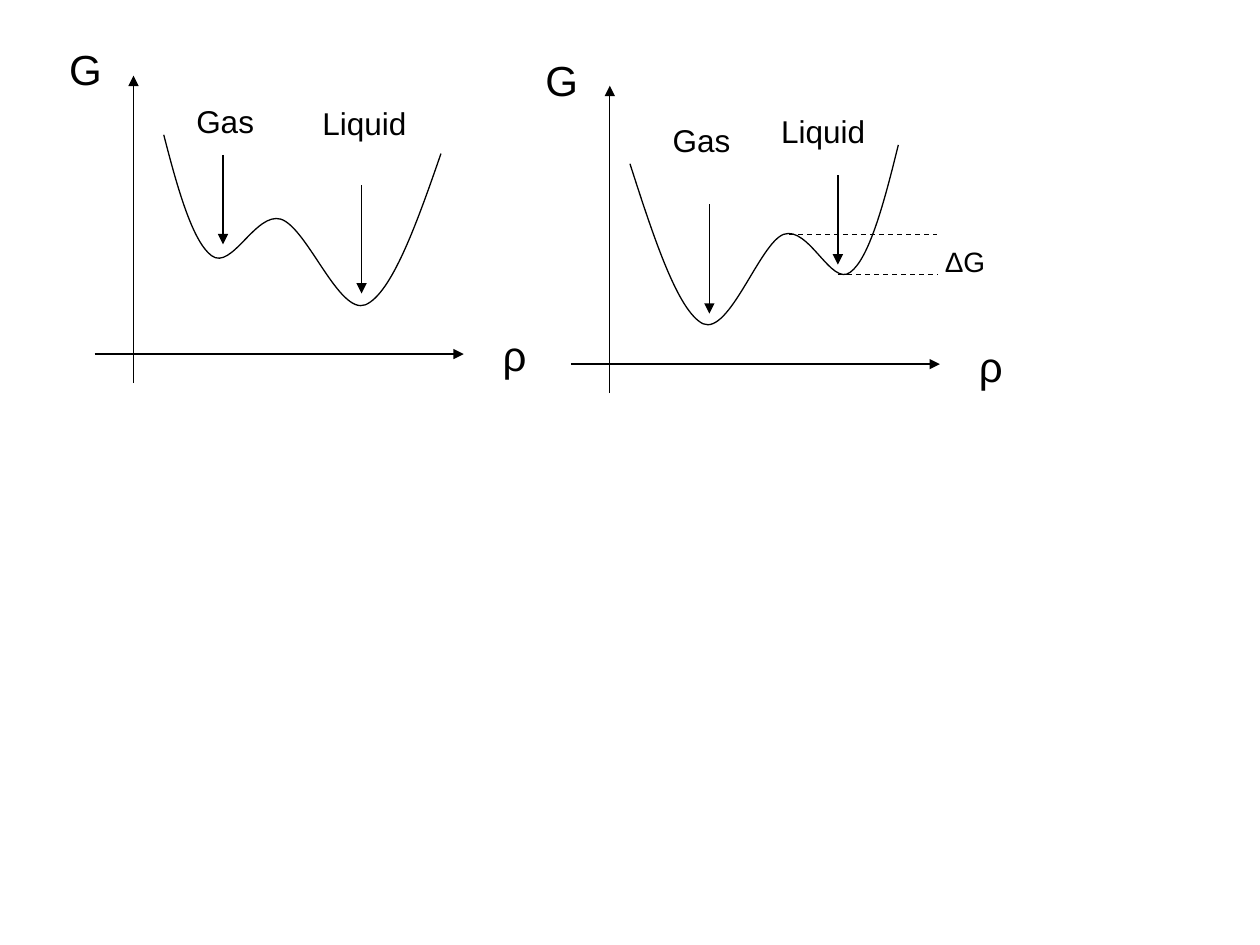
from dataclasses import dataclass

from lxml.etree import SubElement
from pptx import Presentation
from pptx.dml.color import RGBColor
from pptx.enum.dml import MSO_LINE
from pptx.enum.shapes import MSO_CONNECTOR
from pptx.enum.text import MSO_AUTO_SIZE
from pptx.oxml.ns import qn
from pptx.util import Inches, Pt


@dataclass(frozen=True)
class Theme:
    ink: RGBColor = RGBColor(0, 0, 0)
    font: str = "Arial"
    axis_size: float = 24
    phase_size: float = 18
    gap_size: float = 16
    line_width: float = 0.75


class Diagram:
    def __init__(self, slide, theme):
        self.s = slide
        self.theme = theme

    def style_line(self, line):
        line.color.rgb = self.theme.ink
        line.width = Pt(self.theme.line_width)

    def line(self, start, end, arrow=False, dashed=False):
        cx = self.s.shapes.add_connector(
            MSO_CONNECTOR.STRAIGHT, *(Inches(v) for v in (*start, *end)))
        self.style_line(cx.line)
        if dashed:
            cx.line.dash_style = MSO_LINE.DASH
        sp_pr = cx._element.spPr
        if arrow:
            SubElement(sp_pr.find(qn("a:ln")), qn("a:tailEnd"), type="triangle")
        SubElement(sp_pr, qn("a:effectLst"))

    def label(self, text, left, top, width, height, size):
        sp = self.s.shapes.add_textbox(*(Inches(v) for v in (left, top, width, height)))
        tf = sp.text_frame
        tf.word_wrap = False
        tf.auto_size = MSO_AUTO_SIZE.SHAPE_TO_FIT_TEXT
        p = tf.paragraphs[0]
        p.text = text
        p.font.name = self.theme.font
        p.font.size = Pt(size)
        p.font.color.rgb = self.theme.ink

    def curve(self, points):
        """Draw a Bézier path: a start point, then three points per segment."""
        (x, y), *rest = [(Inches(px), Inches(py)) for px, py in points]
        builder = self.s.shapes.build_freeform(x, y)
        builder.add_line_segments(rest, close=False)
        sp = builder.convert_to_shape()
        path = next(sp._element.iter(qn("a:path")))
        steps = path.findall(qn("a:lnTo"))
        for i in range(0, len(steps), 3):
            bezier = SubElement(path, qn("a:cubicBezTo"))
            for step in steps[i:i + 3]:
                bezier.append(step[0])
                path.remove(step)
        sp.fill.background()
        self.style_line(sp.line)
        sp.shadow.inherit = False

    def axes(self, x, y):
        """Draw the G and ρ axes crossing at (x, y)."""
        self.line((x, y + 0.23), (x, y - 2.21), arrow=True)
        self.line((x - 0.31, y), (x + 2.62, y), arrow=True)
        self.label("ρ", x + 2.83, y - 0.24, 0.39, 0.5, self.theme.axis_size)
        self.label("G", x - 0.61, y - 2.51, 0.46, 0.5, self.theme.axis_size)

    def phase(self, name, left, top, width, arrow_x, arrow_top, arrow_bottom):
        """Name a phase and point an arrow at its minimum."""
        self.label(name, left, top, width, 0.4, self.theme.phase_size)
        self.line((arrow_x, arrow_top), (arrow_x, arrow_bottom), arrow=True)


def main():
    prs = Presentation()
    prs.slide_width, prs.slide_height = Inches(10), Inches(7.5)
    theme = Theme()
    d = Diagram(prs.slides.add_slide(prs.slide_layouts[6]), theme)

    # Liquid is the stable phase
    d.axes(1.06, 2.81)
    d.curve([(3.5, 1.22), (3.31, 1.77), (3.11, 2.33), (2.9, 2.42),
             (2.69, 2.5), (2.44, 1.81), (2.23, 1.74),
             (2.03, 1.68), (1.84, 2.15), (1.68, 2.03),
             (1.53, 1.92), (1.41, 1.5), (1.3, 1.07)])
    d.phase("Liquid", 2.46, 0.78, 0.88, 2.87, 1.47, 2.33)
    d.phase("Gas", 1.46, 0.76, 0.66, 1.77, 1.23, 1.94)

    # Gas is the stable phase
    d.axes(4.84, 2.89)
    d.curve([(5, 1.3), (5.19, 1.89), (5.38, 2.47), (5.58, 2.57),
             (5.79, 2.66), (6.03, 1.93), (6.22, 1.86),
             (6.42, 1.79), (6.6, 2.28), (6.75, 2.16),
             (6.9, 2.05), (7.02, 1.6), (7.13, 1.15)])
    d.phase("Liquid", 6.1, 0.84, 0.88, 6.65, 1.39, 2.1)
    d.phase("Gas", 5.24, 0.91, 0.66, 5.63, 1.62, 2.49)

    # Energy barrier between the phases
    for x, y in ((6.26, 1.86), (6.65, 2.18)):
        d.line((x, y), (7.44, y), dashed=True)
    d.label("ΔG", 7.4, 1.89, 0.52, 0.37, theme.gap_size)

    prs.save("out.pptx")


if __name__ == "__main__":
    main()
